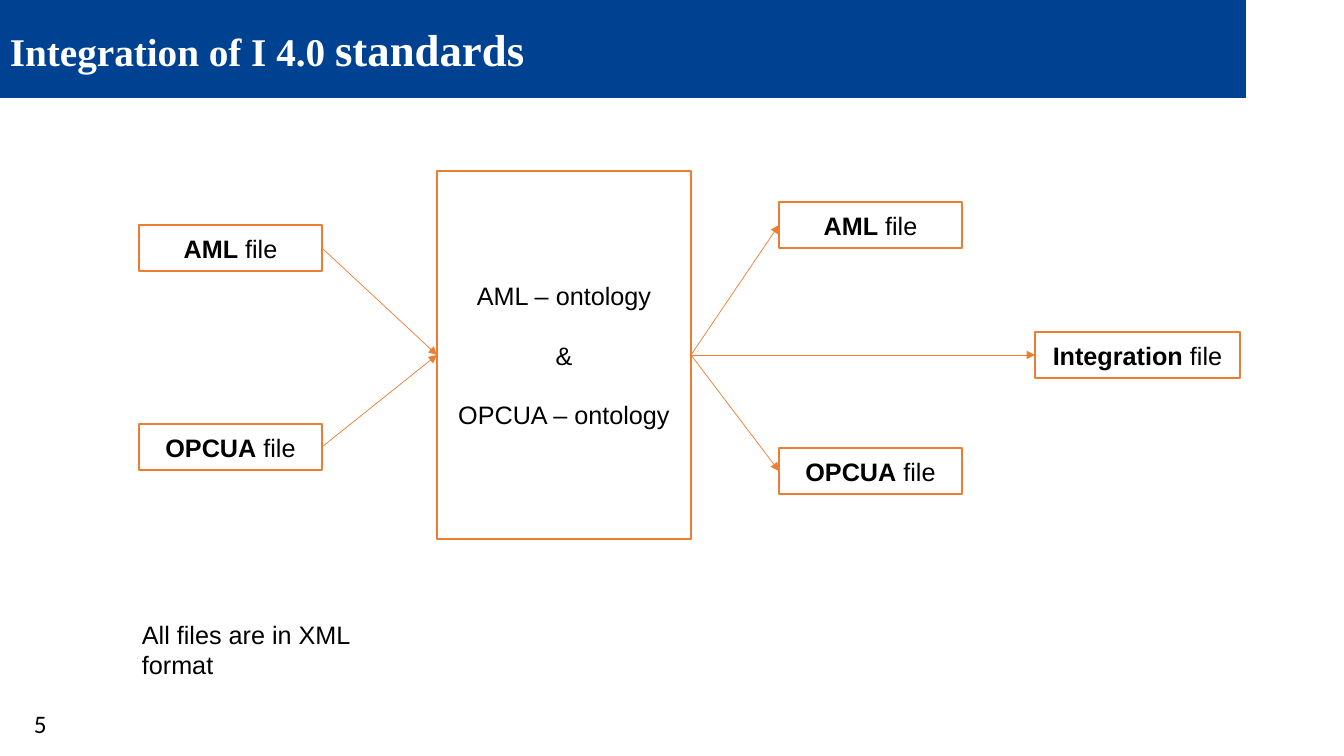
from lxml.etree import SubElement
from pptx import Presentation
from pptx.dml.color import RGBColor
from pptx.enum.shapes import MSO_CONNECTOR, MSO_SHAPE
from pptx.enum.text import MSO_ANCHOR, PP_ALIGN
from pptx.oxml.ns import qn
from pptx.util import Pt

WHITE, BLACK, BLUE, ORANGE = "FFFFFF", "000000", "004292", "ED7D31"
FILE_W, FILE_H = 183, 46


def px(size):
    return round(size * 914400 / 100.8)


def paint(target, color):
    target.solid() if hasattr(target, "solid") else None
    color_of = target.fore_color if hasattr(target, "fore_color") else target.color
    color_of.rgb = RGBColor.from_string(color)


def style(para, size, color=BLACK, face="Arial", bold=None):
    font = para.font
    font.size, font.name, font.bold = Pt(size), face, bold
    paint(font, color)


def add_rect(slide, box, fill=None, line=None, width=1):
    rect = slide.shapes.add_shape(MSO_SHAPE.RECTANGLE, *map(px, box))
    rect.shadow.inherit = False
    if fill:
        paint(rect.fill, fill)
    else:
        rect.fill.background()
    if line:
        paint(rect.line, line)
        rect.line.width = Pt(width)
    else:
        rect.line.fill.background()
    rect.text_frame.vertical_anchor = MSO_ANCHOR.MIDDLE
    return rect


def add_file(slide, left, top, name, width=FILE_W):
    rect = add_rect(slide, (left, top, width, FILE_H), WHITE, ORANGE)
    para = rect.text_frame.paragraphs[0]
    para.alignment = PP_ALIGN.CENTER
    style(para, 18)
    run = para.add_run()
    run.text = name
    run.font.bold = True
    para.add_run().text = " file"
    return rect


def add_arrow(slide, start, end):
    arrow = slide.shapes.add_connector(MSO_CONNECTOR.STRAIGHT, 0, 0, 0, 0)
    arrow.begin_connect(start, 3)
    arrow.end_connect(end, 1)
    paint(arrow.line, ORANGE)
    arrow.line.width = Pt(0.5)
    SubElement(arrow.line._get_or_add_ln(), qn("a:tailEnd"), type="triangle")
    SubElement(arrow._element.spPr, qn("a:effectLst"))


def add_core(slide, box):
    core = add_rect(slide, box, line=ORANGE, width=1.5)
    frame = core.text_frame
    for i, text in enumerate(("AML – ontology", "&", "OPCUA – ontology")):
        para = frame.add_paragraph() if i else frame.paragraphs[0]
        para.text = text
        para.alignment = PP_ALIGN.CENTER
        if i:
            para.space_before = Pt(21)
        style(para, 18)
    return core


def add_flow(slide, box):
    left, top, width, height = box
    core = add_core(slide, (left + 298, top, 254, height))
    mid = top + (height - FILE_H) // 2
    for name, drop in (("AML", 54), ("OPCUA", 253)):
        add_arrow(slide, add_file(slide, left, top + drop, name), core)
    for name, drop in (("AML", 31), ("OPCUA", 277)):
        add_arrow(slide, core, add_file(slide, left + 640, top + drop, name))
    goal = add_file(slide, left + width - 205, mid, "Integration", 205)
    add_arrow(slide, core, goal)


def add_banner(slide, box):
    para = add_rect(slide, box, BLUE).text_frame.paragraphs[0]
    para.alignment = PP_ALIGN.LEFT
    style(para, 28, WHITE, "Times New Roman", True)
    para.add_run().text = "Integration of I 4.0 "
    run = para.add_run()
    run.text = "standards"
    run.font.size = Pt(32)


def add_note(slide, box, text, face="Arial"):
    frame = slide.shapes.add_textbox(*map(px, box)).text_frame
    frame.word_wrap = True
    para = frame.paragraphs[0]
    para.text = text
    style(para, 18, face=face)


def main():
    deck = Presentation()
    deck.slide_width, deck.slide_height = px(1344), px(756)
    slide = deck.slides.add_slide(deck.slide_layouts[6])
    add_banner(slide, (0, 0, 1246, 98))
    add_flow(slide, (139, 171, 1101, 368))
    add_note(slide, (132, 614, 295, 40), "All files are in XML format")
    add_note(slide, (24, 703, 33, 40), "5", "Calibri")
    deck.save("out.pptx")


if __name__ == "__main__":
    main()
